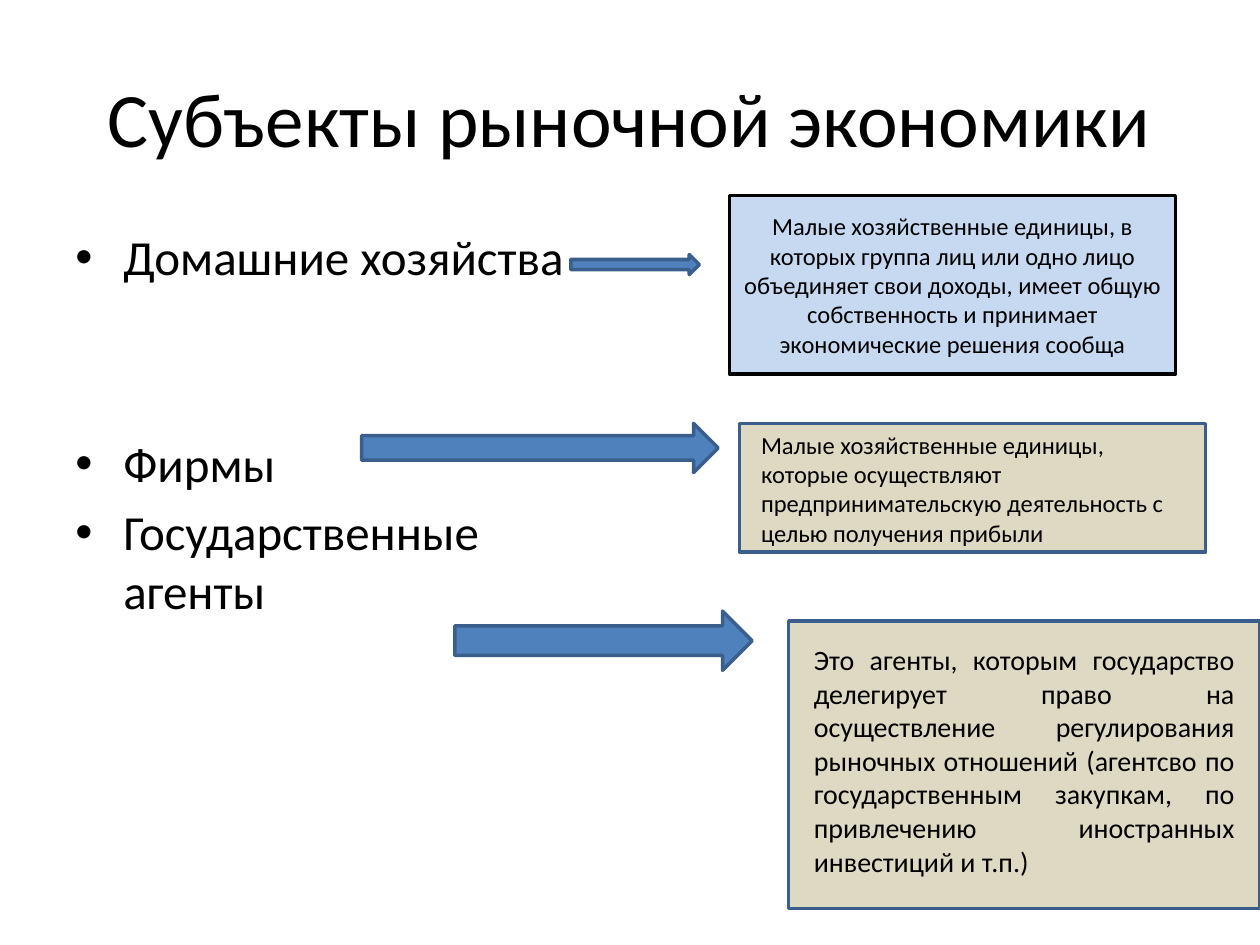
from dataclasses import dataclass

from lxml import etree
from pptx import Presentation
from pptx.dml.color import RGBColor
from pptx.enum.shapes import MSO_SHAPE
from pptx.enum.text import MSO_ANCHOR, PP_ALIGN
from pptx.oxml.ns import qn
from pptx.util import Inches, Pt

ARROW, RECT = MSO_SHAPE.RIGHT_ARROW, MSO_SHAPE.RECTANGLE
TOP, MIDDLE = MSO_ANCHOR.TOP, MSO_ANCHOR.MIDDLE
LEFT, CENTER, JUSTIFY = PP_ALIGN.LEFT, PP_ALIGN.CENTER, PP_ALIGN.JUSTIFY
TITLE_ONLY = 5


@dataclass(frozen=True)
class Theme:
    """Colours, font and type sizes of the slide."""
    font: str = "Calibri"
    ink: str = "000000"
    blue: str = "4F81BD"
    edge: str = "3A5F8C"
    sky: str = "C6D9F1"
    sand: str = "DDD9C3"
    title: int = 44
    body: int = 28
    note: int = 14
    large: int = 16
    line: int = 2


THEME = Theme()

AGENTS = [
    ("Домашние хозяйства", 0),
    ("Фирмы", 84.4),
    ("Государственные агенты", 5.6),
]
ARROWS = [
    (4.53, 2.02, 1.02, 0.16),
    (2.87, 3.36, 2.83, 0.39),
    (3.61, 4.85, 2.36, 0.47),
]
NOTES = [
    ((5.79, 1.55, 3.54, 1.42), THEME.sky, THEME.ink, THEME.note, CENTER, MIDDLE,
     (0.1, 0.05, 0.1),
     "Малые хозяйственные единицы, в которых группа лиц или одно лицо "
     "объединяет свои доходы, имеет общую собственность и принимает "
     "экономические решения сообща"),
    ((5.87, 3.36, 3.7, 1.02), THEME.sand, THEME.edge, THEME.note, LEFT, TOP,
     (0.17, 0.05, 0.19),
     "Малые хозяйственные единицы, которые осуществляют "
     "предпринимательскую деятельность с целью получения прибыли"),
    ((6.26, 4.93, 3.74, 2.28), THEME.sand, THEME.edge, THEME.large, JUSTIFY, TOP,
     (0.2, 0.17, 0.2),
     "Это агенты, которым государство делегирует право на осуществление "
     "регулирования рыночных отношений (агентсво по государственным "
     "закупкам, по привлечению иностранных инвестиций и т.п.)"),
]


def style(para, size, align=LEFT):
    """Set the font and alignment of a paragraph."""
    para.alignment = align
    para.font.name = THEME.font
    para.font.size = Pt(size)
    para.font.color.rgb = RGBColor.from_string(THEME.ink)


def add_title(slide, text):
    """Fill and place the title."""
    title = slide.shapes.title
    title.left, title.top = Inches(0.5), Inches(0.3)
    title.width, title.height = Inches(9), Inches(1.25)
    frame = title.text_frame
    frame.text = text
    frame.vertical_anchor = MIDDLE
    style(frame.paragraphs[0], THEME.title, CENTER)


def add_bullet(para):
    """Give a paragraph a hanging bullet."""
    props = para._p.get_or_add_pPr()
    props.set("marL", str(Inches(0.38)))
    props.set("indent", str(-Inches(0.38)))
    etree.SubElement(props, qn("a:buFont")).set("typeface", "Arial")
    etree.SubElement(props, qn("a:buChar")).set("char", "•")


def add_list(slide, box, items):
    """Add a bulleted list of text and space-before pairs."""
    frame = slide.shapes.add_textbox(*map(Inches, box)).text_frame
    frame.word_wrap = True
    for i, (text, gap) in enumerate(items):
        para = frame.add_paragraph() if i else frame.paragraphs[0]
        para.text = text
        add_bullet(para)
        para.space_before = Pt(gap)
        style(para, THEME.body)


def add_block(slide, kind, box, fill, edge):
    """Add a filled and outlined shape."""
    shape = slide.shapes.add_shape(kind, *map(Inches, box))
    shape.shadow.inherit = False
    shape.fill.solid()
    shape.fill.fore_color.rgb = RGBColor.from_string(fill)
    shape.line.color.rgb = RGBColor.from_string(edge)
    shape.line.width = Pt(THEME.line)
    return shape


def add_note(slide, box, fill, edge, size, align, anchor, pads, text):
    """Add a box that explains one agent."""
    frame = add_block(slide, RECT, box, fill, edge).text_frame
    frame.word_wrap = True
    frame.vertical_anchor = anchor
    frame.margin_left, frame.margin_top, frame.margin_right = map(Inches, pads)
    frame.text = text
    style(frame.paragraphs[0], size, align)


def main():
    """Build and save the slide."""
    deck = Presentation()
    deck.slide_width, deck.slide_height = Inches(10), Inches(7.5)
    slide = deck.slides.add_slide(deck.slide_layouts[TITLE_ONLY])
    add_title(slide, "Субъекты рыночной экономики")
    add_list(slide, (0.5, 1.75, 4.42, 4.95), AGENTS)
    for box in ARROWS:
        add_block(slide, ARROW, box, THEME.blue, THEME.edge)
    for note in NOTES:
        add_note(slide, *note)
    deck.save("out.pptx")


if __name__ == "__main__":
    main()
